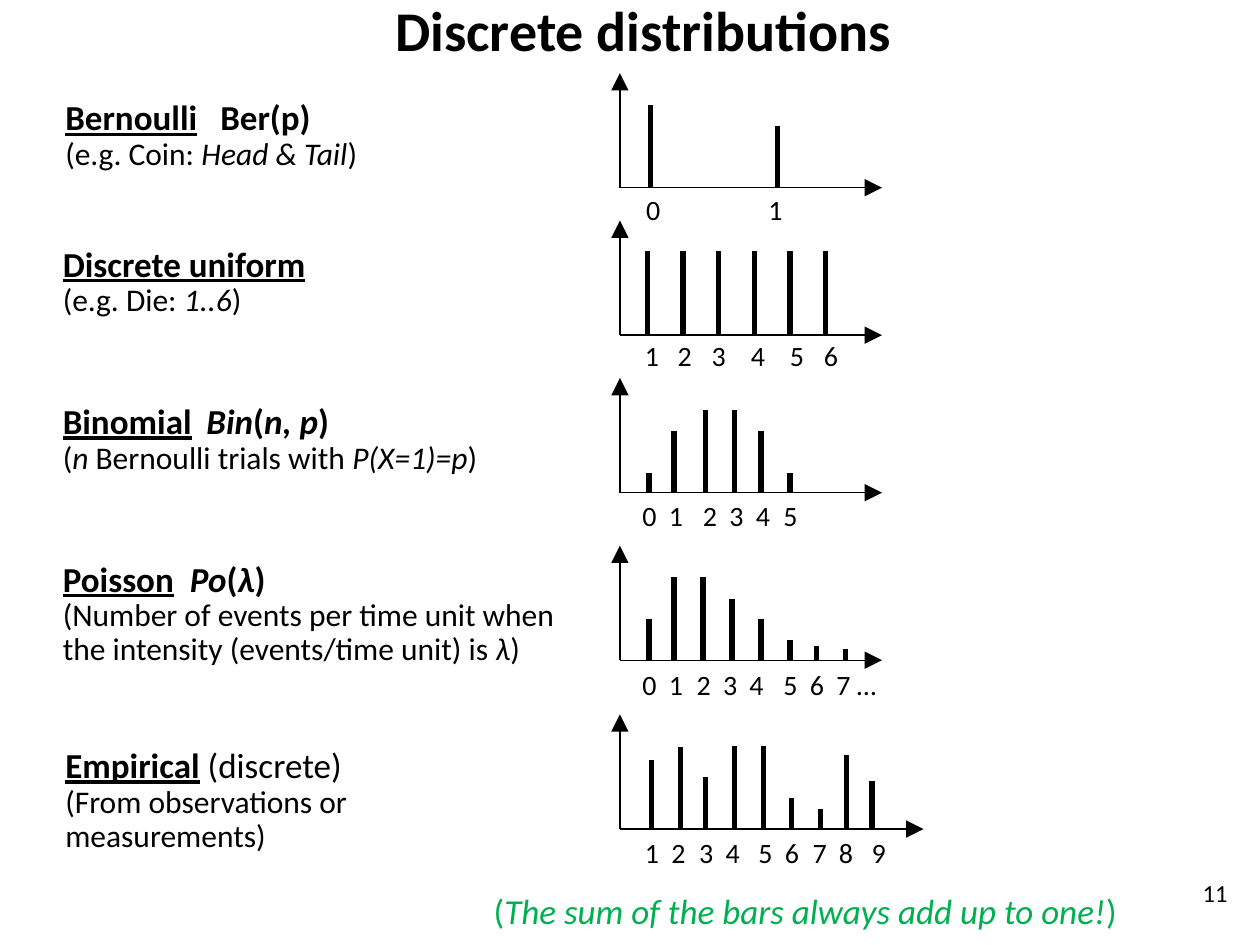
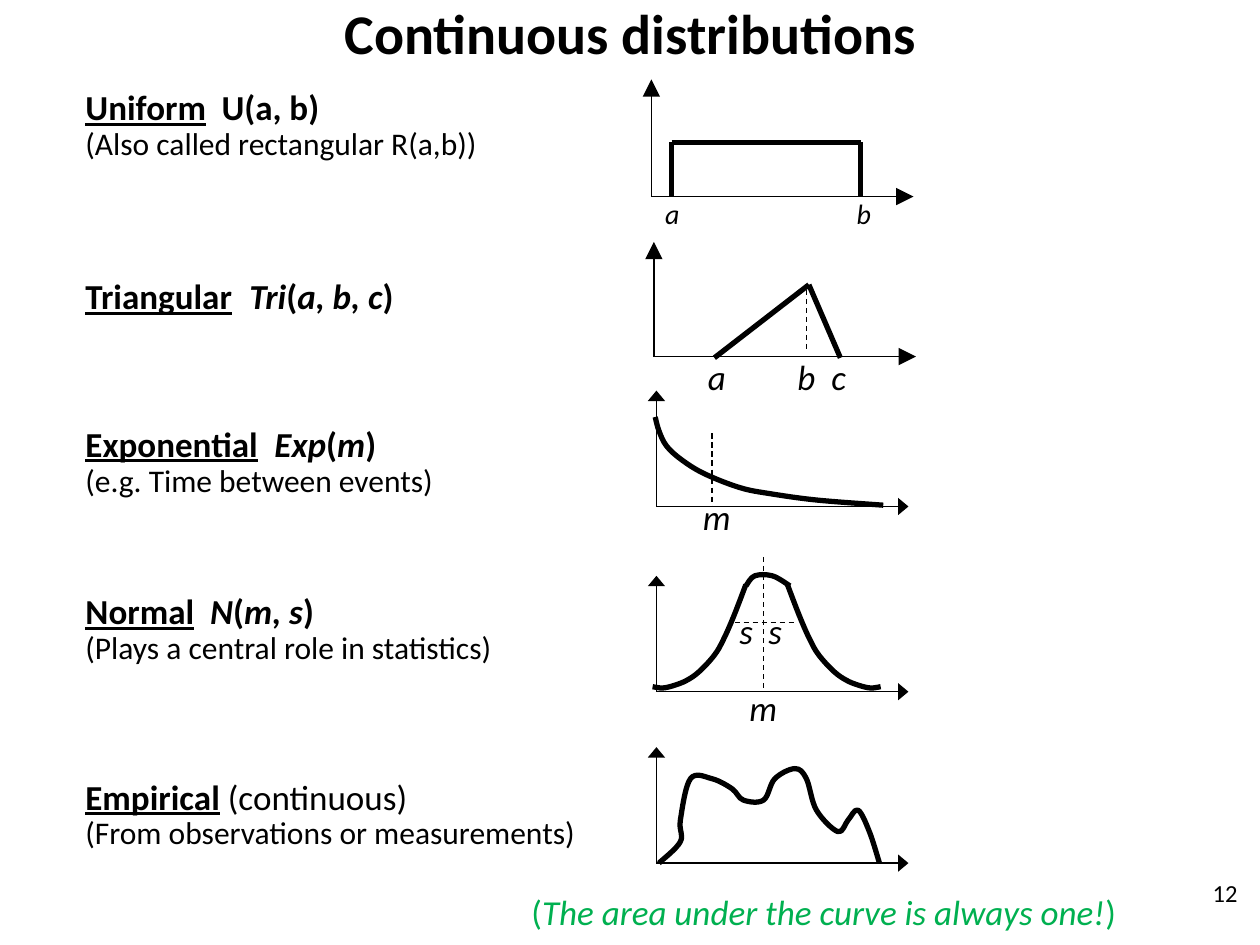
from dataclasses import dataclass

from lxml import etree
from pptx import Presentation
from pptx.dml.color import RGBColor
from pptx.enum.dml import MSO_LINE
from pptx.enum.shapes import MSO_CONNECTOR
from pptx.enum.text import MSO_ANCHOR, PP_ALIGN
from pptx.oxml.ns import qn
from pptx.util import Pt

STRAIGHT = MSO_CONNECTOR.STRAIGHT
DASH = MSO_LINE.DASH
TOP, MIDDLE = MSO_ANCHOR.TOP, MSO_ANCHOR.MIDDLE
LEFT, CENTER, RIGHT = PP_ALIGN.LEFT, PP_ALIGN.CENTER, PP_ALIGN.RIGHT

EMU_PER_PX = 9144
INSET = 10
THIN, THICK = 0.75, 3
COLORS = {"ink": "000000", "remark": "00B050"}
TITLE = {"size": Pt(32), "bold": True}
HEADING = {"size": Pt(20), "bold": True}
NAME = HEADING | {"underline": True}
ASIDE = {"size": Pt(20)}
EXAMPLE = {"size": Pt(18)}
REMARK = {"size": Pt(20)}
PAGE_NUMBER = {"size": Pt(14)}


@dataclass(frozen=True)
class Labels:
    words: tuple
    starts: tuple
    box: tuple
    size: int = 16
    italic: bool = False


@dataclass(frozen=True)
class Distribution:
    name: str
    box: tuple
    origin: tuple
    tips: tuple
    labels: tuple = ()
    formula: str = ""
    formula_left: int = 0
    aside: str = ""
    example: str = ""
    bars: tuple = ()
    edges: tuple = ()
    dashes: tuple = ()
    curves: tuple = ()
    arrow_length: str = "lg"


@dataclass(frozen=True)
class Sheet:
    title: str
    title_box: tuple
    title_anchor: MSO_ANCHOR
    title_spacing: float
    remark: str
    remark_box: tuple
    number: str
    number_box: tuple
    distributions: tuple


def emu(length: float) -> int:
    return round(length * EMU_PER_PX)


def add_box(shapes, place: tuple, anchor=TOP):
    box = shapes.add_textbox(*map(emu, place))
    box.text_frame.word_wrap = True
    box.text_frame.vertical_anchor = anchor
    return box


def add_span(para, text: str, style: dict, color: str = "ink") -> None:
    span = para.add_run()
    span.text = text
    for key, value in ({"name": "Calibri"} | style).items():
        setattr(span.font, key, value)
    span.font.color.rgb = RGBColor.from_string(COLORS[color])


def add_rich_text(para, text: str, style: dict, color: str = "ink") -> None:
    for index, part in enumerate(text.split("|")):
        if part:
            add_span(para, part, style | {"italic": index % 2 == 1}, color)


def add_tabs(para, positions: list) -> None:
    tabs = etree.SubElement(para._p.get_or_add_pPr(), qn("a:tabLst"))
    for position in positions:
        etree.SubElement(tabs, qn("a:tab"), pos=str(emu(position)), algn="l")


def add_line(shapes, start: tuple, end: tuple, width: float, dashed: bool = False):
    line = shapes.add_connector(STRAIGHT, *map(emu, start + end))
    line.line.width = Pt(width)
    line.line.color.rgb = RGBColor.from_string(COLORS["ink"])
    if dashed:
        line.line.dash_style = DASH
    etree.SubElement(line._element.spPr, qn("a:effectLst"))
    return line


def add_axis(shapes, start: tuple, end: tuple, arrow_length: str) -> None:
    axis = add_line(shapes, start, end, THIN)
    etree.SubElement(axis.line._get_or_add_ln(), qn("a:tailEnd"),
                     type="triangle", w="lg", len=arrow_length)


def bend_segments(curve) -> None:
    nodes = list(curve._element.iter(qn("a:pt")))
    points = [(int(node.get("x")), int(node.get("y"))) for node in nodes]
    padded = [points[0]] + points + [points[-1]]
    for index, segment in enumerate(list(curve._element.iter(qn("a:lnTo")))):
        before, start, end, after = padded[index:index + 4]
        leaving = [s + (e - b) / 6 for b, s, e in zip(before, start, end)]
        arriving = [e - (a - s) / 6 for s, e, a in zip(start, end, after)]
        bend = etree.Element(qn("a:cubicBezTo"))
        for x, y in (leaving, arriving, end):
            etree.SubElement(bend, qn("a:pt"), x=str(round(x)), y=str(round(y)))
        segment.getparent().replace(segment, bend)


def add_curve(shapes, points: tuple) -> None:
    knots = [(emu(x), emu(y)) for x, y in points]
    builder = shapes.build_freeform(*knots[0], scale=1.0)
    builder.add_line_segments(knots[1:], close=False)
    curve = builder.convert_to_shape()
    bend_segments(curve)
    curve.shadow.inherit = False
    curve.fill.background()
    curve.line.width = Pt(THICK)
    curve.line.color.rgb = RGBColor.from_string(COLORS["ink"])


def add_labels(shapes, labels: Labels) -> None:
    para = add_box(shapes, labels.box).text_frame.paragraphs[0]
    stops = [start - labels.box[0] - INSET for start in labels.starts]
    add_tabs(para, [stop for stop in stops if stop > 0])
    lead = "\t" if stops[0] > 0 else ""
    add_span(para, lead + " \t".join(labels.words),
             {"size": Pt(labels.size), "italic": labels.italic})


def add_description(shapes, item: Distribution) -> None:
    frame = add_box(shapes, item.box).text_frame
    heading = frame.paragraphs[0]
    heading.line_spacing = 0.9
    add_span(heading, item.name, NAME)
    if item.formula:
        add_tabs(heading, [item.formula_left - item.box[0] - INSET])
        add_rich_text(heading, " \t" + item.formula, HEADING)
    if item.aside:
        add_span(heading, " " + item.aside, ASIDE)
    if item.example:
        para = frame.add_paragraph()
        para.line_spacing = 0.9
        add_rich_text(para, item.example, EXAMPLE)


def add_distribution(page, item: Distribution) -> None:
    shapes = page.shapes.add_group_shape().shapes
    x, base = item.origin
    right, top = item.tips
    for tip in ((right, base), (x, top)):
        add_axis(shapes, item.origin, tip, item.arrow_length)
    for bar, height in item.bars:
        add_line(shapes, (bar, base), (bar, height), THICK)
    for start, end in item.edges:
        add_line(shapes, start, end, THICK)
    for points in item.curves:
        add_curve(shapes, points)
    for start, end in item.dashes:
        add_line(shapes, start, end, THIN, dashed=True)
    for labels in item.labels:
        add_labels(shapes, labels)
    add_description(shapes, item)


def add_sheet(deck, sheet: Sheet) -> None:
    page = deck.slides.add_slide(deck.slide_layouts[6])
    frame_texts = (
        (sheet.number, sheet.number_box, PAGE_NUMBER, "ink", RIGHT, TOP, 1.0),
        (sheet.title, sheet.title_box, TITLE, "ink", CENTER,
         sheet.title_anchor, sheet.title_spacing),
        (sheet.remark, sheet.remark_box, REMARK, "remark", LEFT, TOP, 1.3),
    )
    for text, place, style, color, alignment, anchor, spacing in frame_texts:
        para = add_box(page.shapes, place, anchor).text_frame.paragraphs[0]
        para.alignment = alignment
        para.line_spacing = spacing
        add_rich_text(para, text, style, color)
    for item in sheet.distributions:
        add_distribution(page, item)


BELL_LEFT = ((518, 545), (526, 546), (535, 544), (545, 540), (555, 533),
             (567, 520), (574, 508), (582, 490), (592, 464))
BELL_RIGHT = tuple((1217 - x, y) for x, y in BELL_LEFT)
BELL_CAP = ((592, 465), (599, 457), (613, 457), (627, 465))
DECAY = ((520, 331), (523, 342), (529, 354), (541, 365), (559, 376),
         (587, 387), (612, 392), (649, 397), (701, 401))
OBSERVED = ((523, 685), (540, 668), (540, 651), (548, 618), (565, 618), (581, 626),
            (590, 635), (606, 635), (615, 618), (631, 610), (640, 618), (648, 643),
            (665, 660), (673, 651), (681, 643), (690, 660), (698, 685))

DISCRETE = Sheet(
    "Discrete distributions", (70, 0, 881, 47), MIDDLE, 1.0,
    "(|The sum of the bars always add up to one!|)", (382, 691, 525, 50),
    "11", (942, 692, 42, 50),
    (
        Distribution(
            "Bernoulli", (42, 75, 350, 67), (492, 149), (700, 58),
            (Labels(("0", "1"), (513, 610), (503, 148, 140, 37)),),
            formula="Ber(p)", formula_left=175, example="(e.g. Coin: |Head & Tail|)",
            bars=((516, 83), (617, 100))),
        Distribution(
            "Discrete uniform", (40, 191, 367, 67), (492, 266), (700, 175),
            (Labels(tuple("123456"), (512, 538, 565, 596, 627, 654),
                    (502, 264, 192, 37)),),
            example="(e.g. Die: |1..6|)",
            bars=tuple((x, 199) for x in (514, 542, 570, 599, 627, 655))),
        Distribution(
            "Binomial", (40, 316, 408, 67), (492, 391), (700, 300),
            (Labels(tuple("012345"), (510, 531, 558, 579, 600, 622),
                    (500, 391, 167, 37)),),
            formula="|Bin|(|n, p|)", formula_left=164,
            example="(|n| Bernoulli trials with |P(X=1)=p|)",
            bars=((515, 375), (535, 342), (560, 325),
                  (583, 325), (604, 342), (627, 375))),
        Distribution(
            "Poisson", (40, 441, 410, 122), (492, 524), (700, 433),
            (Labels(("0", "1", "2", "3", "4", "5", "6", "7 …"),
                    (510, 531, 553, 574, 595, 622, 643, 664),
                    (500, 525, 233, 37)),),
            formula="|Po|(|λ|)", formula_left=151,
            example="(Number of events per time unit when "
                    "the intensity (events/time unit) is |λ|)",
            bars=((515, 491), (535, 458), (558, 458), (581, 475),
                  (604, 491), (627, 508), (648, 513), (671, 515))),
        Distribution(
            "Empirical", (42, 589, 400, 95), (492, 658), (733, 567),
            (Labels(tuple("123456789"),
                    (512, 533, 555, 576, 602, 623, 645, 666, 692),
                    (492, 658, 225, 37)),),
            aside="(discrete)", example="(From observations or measurements)",
            bars=((517, 603), (540, 593), (560, 617), (583, 592), (606, 592),
                  (628, 633), (651, 642), (672, 599), (692, 620))),
    ))

CONTINUOUS = Sheet(
    "Continuous distributions", (42, 0, 917, 59), TOP, 0.9,
    "(|The area under the curve is always one!|)", (412, 692, 496, 50),
    "12", (950, 692, 42, 50),
    (
        Distribution(
            "Uniform", (58, 67, 408, 133), (517, 156), (725, 63),
            (Labels(("a", "b"), (528, 680), (508, 151, 208, 37), italic=True),),
            formula="U(a, b)", formula_left=176,
            example="(Also called rectangular R(a,b))",
            bars=((533, 113), (683, 113)), edges=(((533, 113), (683, 113)),)),
        Distribution(
            "Triangular", (58, 217, 375, 40), (519, 283), (727, 192),
            (Labels(("a", "b", "c"), (562, 633, 660), (512, 277, 208, 43), 20, True),),
            formula="|Tri|(|a, b, c|)", formula_left=198,
            edges=(((567, 284), (642, 226)), ((642, 226), (667, 284))),
            dashes=(((640, 230), (640, 280)),)),
        Distribution(
            "Exponential", (58, 334, 358, 67), (521, 402), (721, 310),
            (Labels(("m",), (558,), (548, 388, 67, 43), 20, True),),
            formula="|Exp|(|m|)", formula_left=218,
            example="(e.g. Time between events)",
            dashes=(((565, 344), (565, 402)),), curves=(DECAY,), arrow_length="med"),
        Distribution(
            "Normal", (58, 467, 408, 67), (521, 549), (721, 457),
            (Labels(("m",), (595,), (585, 540, 67, 43), 20, True),
             Labels(("s", "s"), (587, 610), (577, 479, 67, 43), 20, True)),
            formula="|N|(|m, s|)", formula_left=167,
            example="(Plays a central role in statistics)",
            dashes=(((606, 442), (606, 548)), ((583, 494), (633, 494))),
            curves=(BELL_LEFT, BELL_RIGHT, BELL_CAP), arrow_length="med"),
        Distribution(
            "Empirical", (58, 614, 417, 67), (521, 685), (721, 593),
            aside="(continuous)", example="(From observations or measurements)",
            curves=(OBSERVED,), arrow_length="med"),
    ))


def main() -> None:
    deck = Presentation()
    deck.slide_width, deck.slide_height = emu(1000), emu(750)
    for sheet in (DISCRETE, CONTINUOUS):
        add_sheet(deck, sheet)
    deck.save("out.pptx")


if __name__ == "__main__":
    main()
